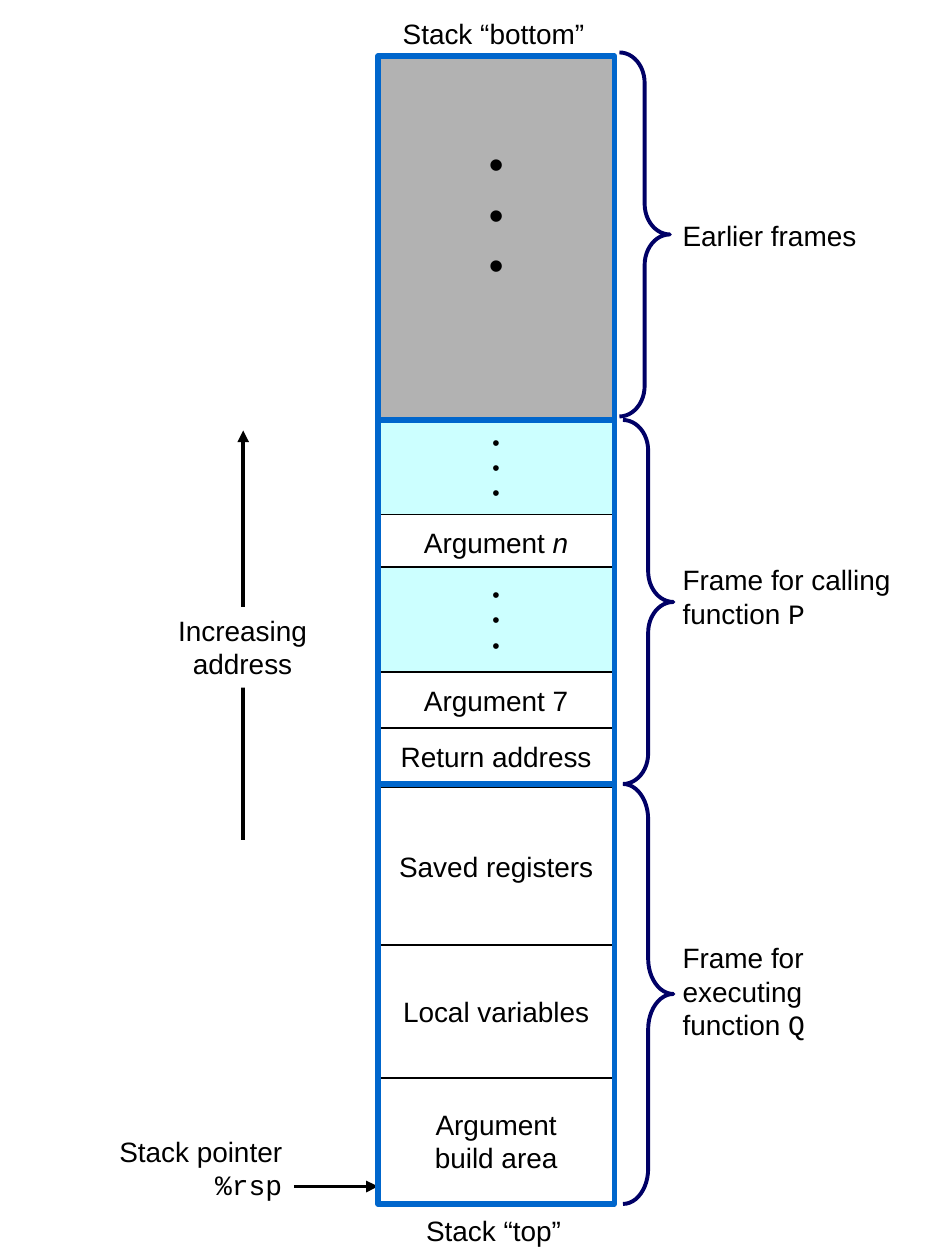
from dataclasses import dataclass

from lxml import etree
from pptx import Presentation
from pptx.dml.color import RGBColor
from pptx.enum import shapes, text
from pptx.oxml import ns
from pptx.util import Pt

HUES = {
    "ink": "000000",
    "white": "FFFFFF",
    "cyan": "CCFFFF",
    "gray": "B2B2B2",
    "blue": "0066CC",
    "navy": "000066",
}
SANS, MONO = "Arial", "Courier New"
LEFT, WIDE = 216, 135
TOP, CALL, EXEC, END = 32, 240, 448, 688
DOTS = "•\n•\n•"
MID, RIGHT, START = text.PP_ALIGN.CENTER, text.PP_ALIGN.RIGHT, text.PP_ALIGN.LEFT


@dataclass
class Words:
    main: str
    tail: str = ""
    mono: bool = False
    size: float = 16
    align: text.PP_ALIGN = MID


@dataclass
class Cell:
    top: float
    high: float
    words: Words
    fill: str = "white"
    edge: str = "ink"
    thick: float = 1
    foot: float = 3.6


@dataclass
class Label:
    left: float
    top: float
    wide: float
    high: float
    words: Words
    wrap: bool = True


@dataclass
class Brace:
    left: float
    top: float
    high: float
    curl: float


def hue(name: str) -> RGBColor:
    return RGBColor.from_string(HUES[name])


def write(frame, words: Words) -> None:
    frame.text = words.main
    if words.tail:
        run = frame.paragraphs[-1].add_run()
        run.text = words.tail
    for para in frame.paragraphs:
        para.alignment = words.align
        for run in para.runs:
            run.font.name = SANS
            run.font.size = Pt(words.size)
            run.font.color.rgb = hue("ink")
    if words.tail:
        last = frame.paragraphs[-1].runs[-1]
        last.font.name = MONO if words.mono else SANS
        last.font.italic = not words.mono


def stroke(shape, name: str, thick: float) -> None:
    shape.line.color.rgb = hue(name)
    shape.line.width = Pt(thick)


def box(group, left: float, top: float, wide: float, high: float, fill: str = ""):
    shape = group.add_shape(shapes.MSO_SHAPE.RECTANGLE, Pt(left), Pt(top), Pt(wide), Pt(high))
    shape.shadow.inherit = False
    if fill:
        shape.fill.solid()
        shape.fill.fore_color.rgb = hue(fill)
    else:
        shape.fill.background()
    return shape


def draw_cell(group, cell: Cell) -> None:
    shape = box(group, LEFT, cell.top, WIDE, cell.high, cell.fill)
    stroke(shape, cell.edge, cell.thick)
    frame = shape.text_frame
    frame.word_wrap = False
    frame.vertical_anchor = text.MSO_ANCHOR.MIDDLE
    frame.margin_bottom = Pt(cell.foot)
    write(frame, cell.words)


def draw_label(group, label: Label) -> None:
    shape = group.add_textbox(Pt(label.left), Pt(label.top), Pt(label.wide), Pt(label.high))
    frame = shape.text_frame
    frame.word_wrap = label.wrap
    frame.auto_size = text.MSO_AUTO_SIZE.SHAPE_TO_FIT_TEXT
    write(frame, label.words)


def draw_brace(group, brace: Brace) -> None:
    shape = group.add_shape(
        shapes.MSO_SHAPE.RIGHT_BRACE, Pt(brace.left), Pt(brace.top), Pt(28.8), Pt(brace.high)
    )
    shape.shadow.inherit = False
    shape.adjustments[0] = brace.curl
    shape.adjustments[1] = 0.5
    shape.fill.background()
    stroke(shape, "navy", 2.25)


def arrow(group, x: float, y: float, far_x: float, far_y: float) -> None:
    line = group.add_connector(
        shapes.MSO_CONNECTOR.STRAIGHT, Pt(x), Pt(y), Pt(far_x), Pt(far_y)
    )
    stroke(line, "ink", 2.25)
    etree.SubElement(line.line._get_or_add_ln(), ns.qn("a:tailEnd"), type="triangle")
    etree.SubElement(line._element.spPr, ns.qn("a:effectLst"))


CELLS = [
    Cell(540, 76, Words("Local variables")),
    Cell(616, 72, Words("Argument\nbuild area")),
    Cell(416, 32, Words("Return address")),
    Cell(384, 32, Words("Argument 7")),
    Cell(294, 32, Words("Argument", " n")),
    Cell(CALL, 54, Words(DOTS, size=12), "cyan"),
    Cell(TOP, CALL - TOP, Words(DOTS, size=24), "gray", "blue", 3, 31.6),
    Cell(450, 90, Words("Saved registers")),
    Cell(324, 60, Words(DOTS, size=12), "cyan"),
]
LABELS = [
    Label(383, 534, 107, 65.5, Words("Frame for executing function ", "Q", True, align=START)),
    Label(383, 318, 143, 46, Words("Frame for calling function ", "P", True, align=START)),
    Label(383, 121.5, 114.5, 26.6, Words("Earlier frames", align=START), False),
    Label(59, 644.5, 109.4, 46, Words("Stack pointer\n", "%rsp", True, align=RIGHT), False),
    Label(LEFT, 690, 132, 26.6, Words("Stack “top”")),
    Label(LEFT, 6, 132, 26.6, Words("Stack “bottom”")),
]
BRACES = [
    Brace(356, EXEC, END - EXEC, 0.702),
    Brace(356, CALL, EXEC - CALL, 0.608),
    Brace(354, 30, CALL - TOP, 0.608),
]


def main() -> None:
    deck = Presentation()
    deck.slide_width, deck.slide_height = Pt(540), Pt(720)
    slide = deck.slides.add_slide(deck.slide_layouts[6])
    group = slide.shapes
    for brace in BRACES:
        draw_brace(group, brace)
    for cell in CELLS:
        draw_cell(group, cell)
    for label in LABELS:
        draw_label(group, label)
    arrow(group, 168, 678, LEFT, 678)

    climb = group.add_group_shape().shapes
    arrow(climb, 139, 480, 139, 246)
    note = box(climb, 90, 347, 97.2, 46, "white")
    note.line.fill.background()
    note.text_frame.word_wrap = True
    note.text_frame.vertical_anchor = text.MSO_ANCHOR.TOP
    write(note.text_frame, Words("Increasing\naddress"))

    for top, foot in ((CALL, EXEC), (EXEC, END)):
        stroke(box(group, LEFT, top, WIDE, foot - top), "blue", 3)
    deck.save("out.pptx")


if __name__ == "__main__":
    main()
